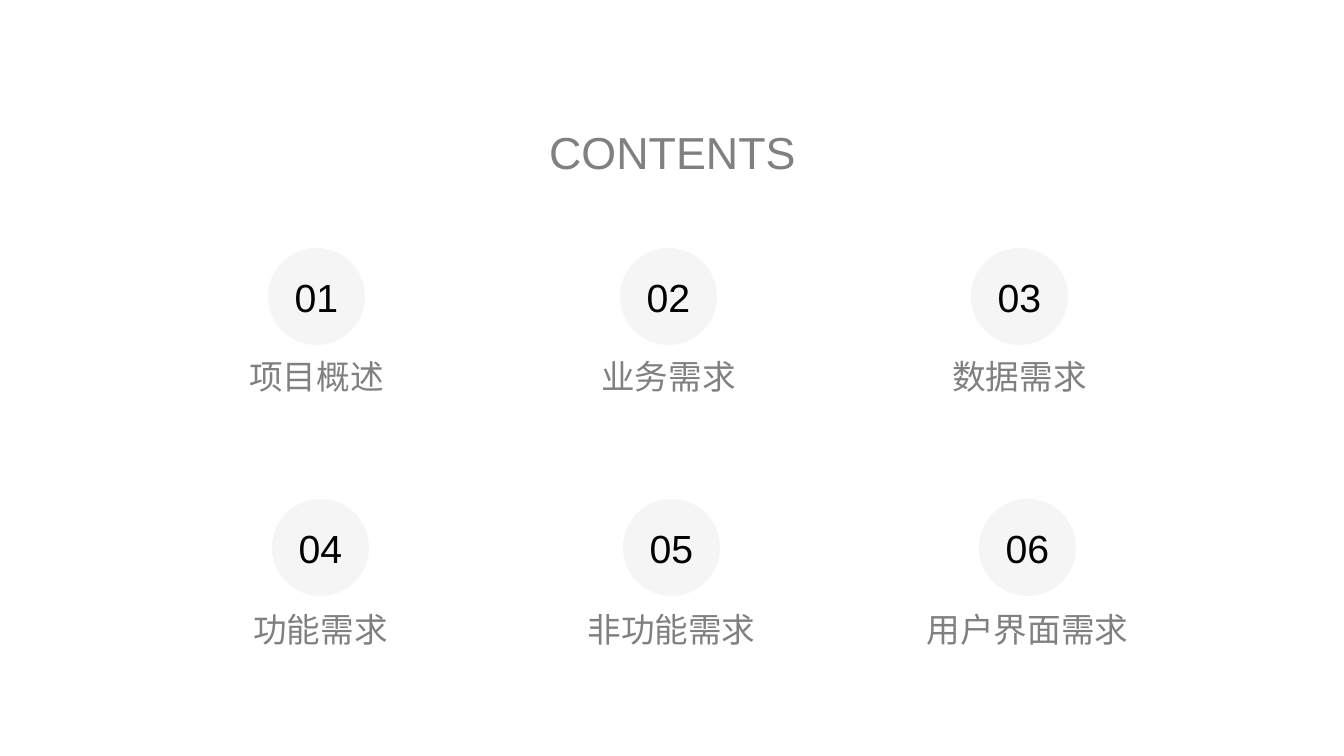
from lxml import etree
from pptx import Presentation
from pptx.dml.color import RGBColor
from pptx.enum.shapes import MSO_SHAPE
from pptx.enum.text import MSO_ANCHOR, PP_ALIGN
from pptx.oxml.ns import qn
from pptx.util import Pt

OVAL = MSO_SHAPE.OVAL
TOP, MIDDLE = MSO_ANCHOR.TOP, MSO_ANCHOR.MIDDLE
CENTER = PP_ALIGN.CENTER

FONT = "Arial"
COLORS = {"page": "FFFFFF", "disc": "E6E6E6", "number": "000000", "label": "808080"}
DISC_ALPHA = 40  # percent opaque

PAGE_WIDTH, PAGE_HEIGHT = 1344, 756
TITLE_BOX = (93, 118, 1159, 73)
DISC_SIZE = 97
LABEL_WIDTH, LABEL_HEIGHT = 297, 121

# Each row: top, gap from disc to label, and (disc left, label) per section
ROWS = [
    (248, 6, [(268, "项目概述"), (620, "业务需求"), (971, "数据需求")]),
    (499, 8, [(272, "功能需求"), (623, "非功能需求"), (979, "用户界面需求")]),
]


def px(length):
    """Turn px into EMU, at 100.8 px to the inch."""
    return round(length * 9144000 / 1008)


def color(name):
    return RGBColor.from_string(COLORS[name])


def write(shape, text, size, ink, anchor=TOP, wrap=True, line_spacing=None):
    frame = shape.text_frame
    frame.word_wrap = wrap
    frame.vertical_anchor = anchor
    para = frame.paragraphs[0]
    para.alignment = CENTER
    para.line_spacing = line_spacing
    span = para.add_run()
    span.text = text
    span.font.name = FONT
    span.font.size = Pt(size)
    span.font.color.rgb = color(ink)


def add_text(page, box, text, **style):
    write(page.shapes.add_textbox(*map(px, box)), text, **style)


def add_disc(page, box, number):
    disc = page.shapes.add_shape(OVAL, *map(px, box))
    disc.shadow.inherit = False
    disc.line.fill.background()
    disc.fill.solid()
    disc.fill.fore_color.rgb = color("disc")
    # Transparency of the fill
    tint = disc.fill._xPr.find(qn("a:solidFill"))[0]
    etree.SubElement(tint, qn("a:alpha"), val=str(DISC_ALPHA * 1000))
    write(disc, number, size=28, ink="number", anchor=MIDDLE, wrap=False)


def add_section(page, left, top, gap, number, label):
    """Numbered disc with its label centred underneath."""
    add_disc(page, (left, top, DISC_SIZE, DISC_SIZE), number)
    label_left = left - (LABEL_WIDTH - DISC_SIZE) // 2
    label_top = top + DISC_SIZE + gap
    add_text(page, (label_left, label_top, LABEL_WIDTH, LABEL_HEIGHT),
             label, size=24, ink="label")


def add_contents(deck):
    page = deck.slides.add_slide(deck.slide_layouts[6])
    page.background.fill.solid()
    page.background.fill.fore_color.rgb = color("page")

    # Title
    add_text(page, TITLE_BOX, "CONTENTS", size=32, ink="label",
             anchor=MIDDLE, line_spacing=0.9)

    # Sections, numbered row by row
    sections = [(left, top, gap, label)
                for top, gap, row in ROWS for left, label in row]
    for index, (left, top, gap, label) in enumerate(sections, start=1):
        add_section(page, left, top, gap, f"{index:02d}", label)


def main():
    deck = Presentation()
    deck.slide_width, deck.slide_height = px(PAGE_WIDTH), px(PAGE_HEIGHT)
    add_contents(deck)
    deck.save("out.pptx")


if __name__ == "__main__":
    main()
